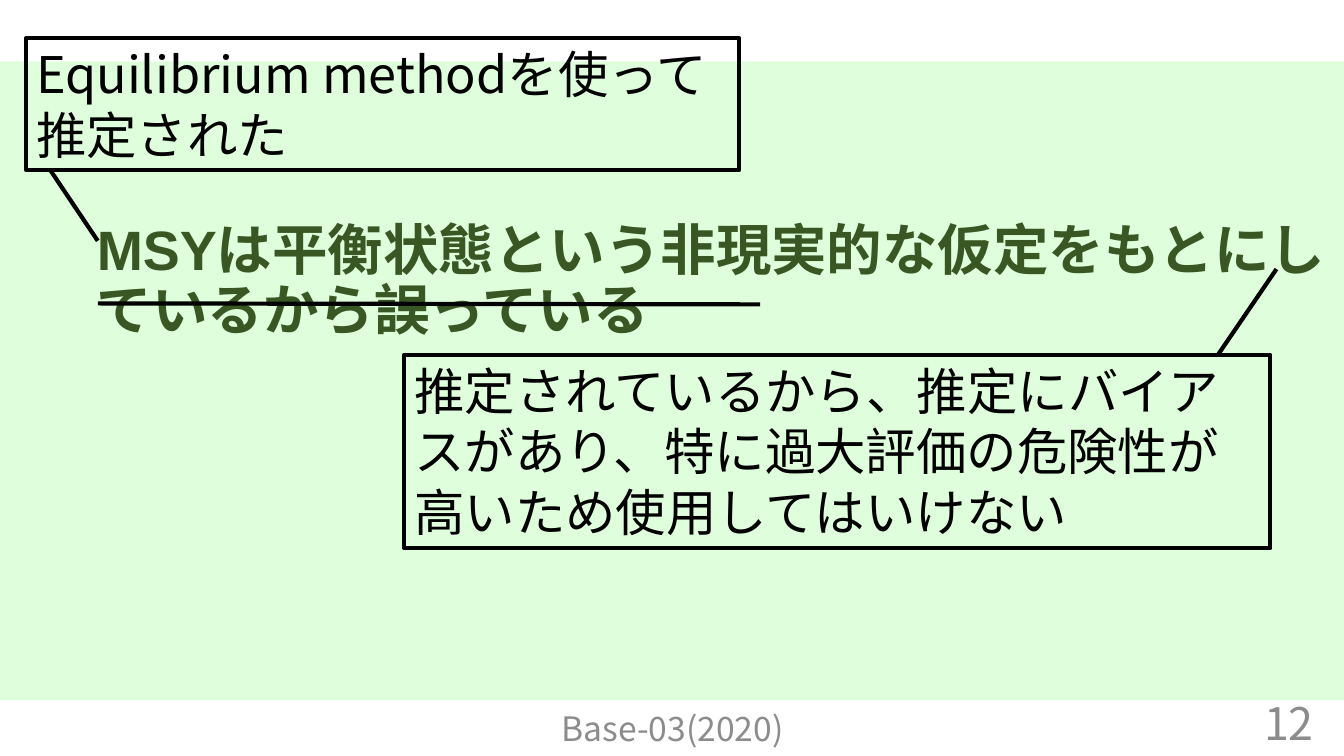
from dataclasses import dataclass

import pptx
import pptx.dml.color
import pptx.enum.shapes
import pptx.enum.text
import pptx.oxml
import pptx.oxml.ns
import pptx.util
from pptx.util import Inches

ALIGN = pptx.enum.text.PP_ALIGN
ANCHOR = pptx.enum.text.MSO_ANCHOR
FIT = pptx.enum.text.MSO_AUTO_SIZE


@dataclass(frozen=True)
class Theme:
    panel: str = "DFFFDC"
    title: str = "385723"
    ink: str = "000000"
    muted: str = "8C8C8C"
    title_font: str = "Arial"
    body_font: str = "Noto Sans CJK JP"
    title_size: float = 39.6
    note_size: float = 36
    number_size: float = 32
    footer_size: float = 24
    line_width: float = 3


@dataclass(frozen=True)
class Box:
    left: float
    top: float
    width: float
    height: float

    def lengths(self) -> list:
        return [Inches(v) for v in (self.left, self.top, self.width, self.height)]


@dataclass(frozen=True)
class Note:
    text: str
    box: Box


@dataclass(frozen=True)
class Footer:
    text: str
    box: Box
    size: float
    align: ALIGN


@dataclass(frozen=True)
class Stroke:
    x1: float
    y1: float
    x2: float
    y2: float


THEME = Theme()
PANEL = Box(0, 0.61, 13.33, 6.34)
TITLE = Note("MSYは平衡状態という非現実的な仮定をもとにしているから誤っている",
             Box(0.86, 2.28, 12.47, 1.05))
NOTES = [
    Note("Equilibrium methodを使って推定された", Box(0.26, 0.38, 7.07, 1.31)),
    Note("推定されているから、推定にバイアスがあり、特に過大評価の危険性が"
         "高いため使用してはいけない", Box(4.01, 3.52, 8.59, 1.92)),
]
FOOTERS = [
    Footer("Base-03(2020)", Box(4.42, 6.95, 4.5, 0.55), THEME.footer_size, ALIGN.CENTER),
    Footer("12", Box(10.13, 6.97, 3, 0.4), THEME.number_size, ALIGN.RIGHT),
]
STROKES = [
    Stroke(0.5, 1.69, 0.97, 2.39),      # first note to title
    Stroke(0.97, 3.01, 7.54, 3.02),     # strike through the second title line
    Stroke(12.66, 2.67, 12.08, 3.52),   # title to second note
]


def rgb(color: str) -> pptx.dml.color.RGBColor:
    return pptx.dml.color.RGBColor.from_string(color)


def write(tf, text: str, size: float, color: str, font: str = THEME.body_font,
          align: ALIGN = ALIGN.LEFT, anchor: ANCHOR = ANCHOR.MIDDLE,
          bold: bool = False, fit: FIT = FIT.NONE):
    """Fill a text frame with one formatted paragraph and return it."""
    tf.word_wrap = True
    tf.auto_size = fit
    tf.vertical_anchor = anchor
    p = tf.paragraphs[0]
    p.text = text
    p.alignment = align
    p.font.size = pptx.util.Pt(size)
    p.font.bold = bold
    p.font.color.rgb = rgb(color)
    p.font.name = font
    # East Asian typeface
    east_asian = pptx.oxml.parse_xml(
        f'<a:ea {pptx.oxml.ns.nsdecls("a")} typeface="{THEME.body_font}"/>')
    p.font._element.append(east_asian)
    return p


def add_rect(s, box: Box):
    sp = s.shapes.add_shape(pptx.enum.shapes.MSO_SHAPE.RECTANGLE, *box.lengths())
    sp.shadow.inherit = False
    return sp


def add_panel(s) -> None:
    sp = add_rect(s, PANEL)
    sp.fill.solid()
    sp.fill.fore_color.rgb = rgb(THEME.panel)
    sp.line.fill.background()


def add_title(s) -> None:
    sp = s.shapes.title
    sp.left, sp.top, sp.width, sp.height = TITLE.box.lengths()
    p = write(sp.text_frame, TITLE.text, THEME.title_size, THEME.title,
              font=THEME.title_font, bold=True)
    p.line_spacing = 0.9
    # Bring the title in front of the panel
    s.shapes._spTree.append(sp._element)


def add_footer(s, footer: Footer) -> None:
    sp = s.shapes.add_textbox(*footer.box.lengths())
    write(sp.text_frame, footer.text, footer.size, THEME.muted, align=footer.align)


def add_note(s, note: Note) -> None:
    sp = add_rect(s, note.box)
    sp.fill.background()
    sp.line.color.rgb = rgb(THEME.ink)
    sp.line.width = pptx.util.Pt(THEME.line_width)
    write(sp.text_frame, note.text, THEME.note_size, THEME.ink,
          anchor=ANCHOR.TOP, fit=FIT.SHAPE_TO_FIT_TEXT)


def add_stroke(s, stroke: Stroke) -> None:
    ends = [Inches(v) for v in (stroke.x1, stroke.y1, stroke.x2, stroke.y2)]
    line = s.shapes.add_connector(pptx.enum.shapes.MSO_CONNECTOR.STRAIGHT, *ends)
    line.line.color.rgb = rgb(THEME.ink)
    line.line.width = pptx.util.Pt(THEME.line_width)
    line._element.spPr.append(
        pptx.oxml.parse_xml(f'<a:effectLst {pptx.oxml.ns.nsdecls("a")}/>'))


def main() -> None:
    prs = pptx.Presentation()
    prs.slide_width, prs.slide_height = Inches(13.33), Inches(7.5)
    s = prs.slides.add_slide(prs.slide_layouts[5])

    # Background and title
    add_panel(s)
    add_title(s)

    # Footer and slide number
    for footer in FOOTERS:
        add_footer(s, footer)

    # Correction notes and their lines
    for note in NOTES:
        add_note(s, note)
    for stroke in STROKES:
        add_stroke(s, stroke)

    prs.save("out.pptx")


if __name__ == "__main__":
    main()
